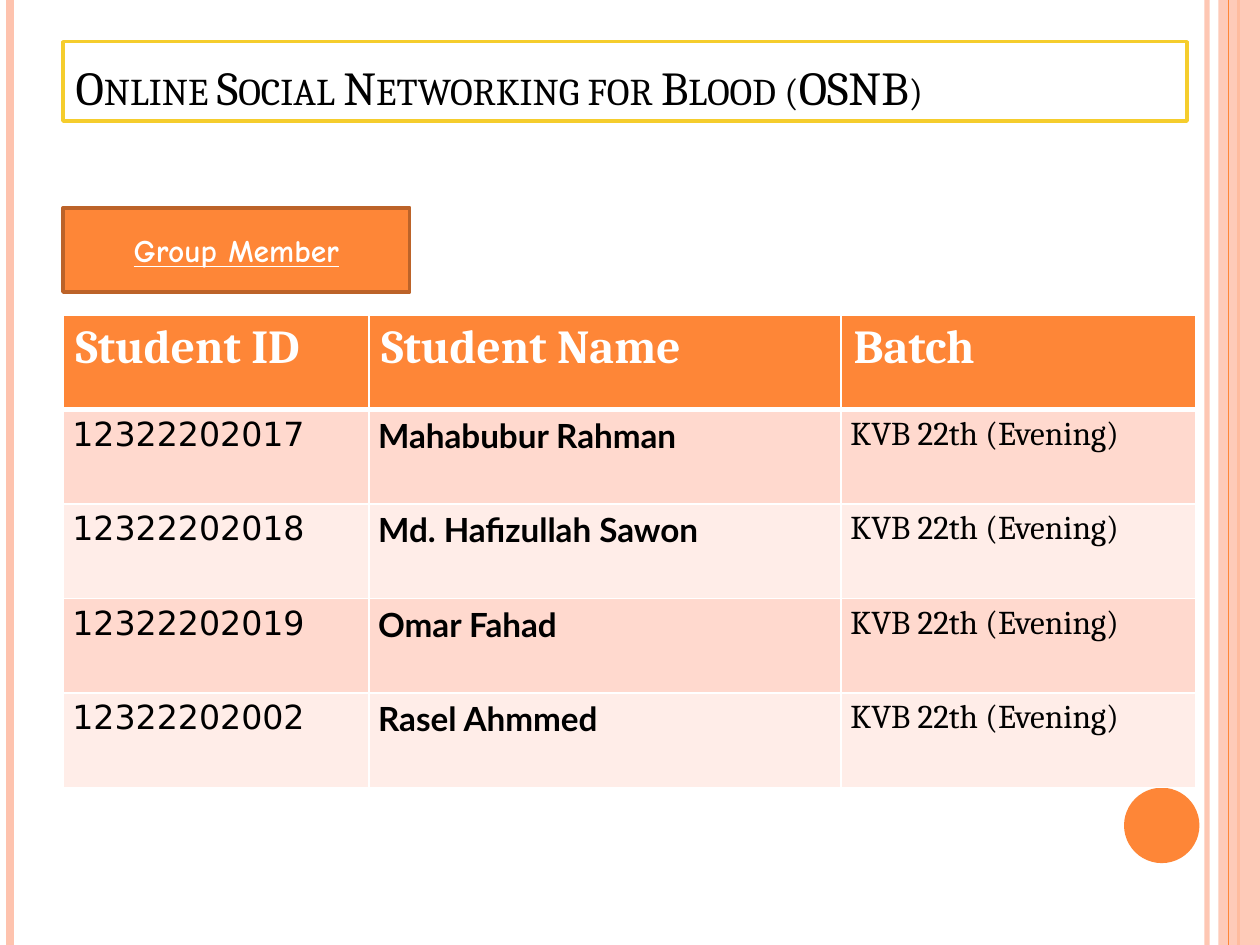
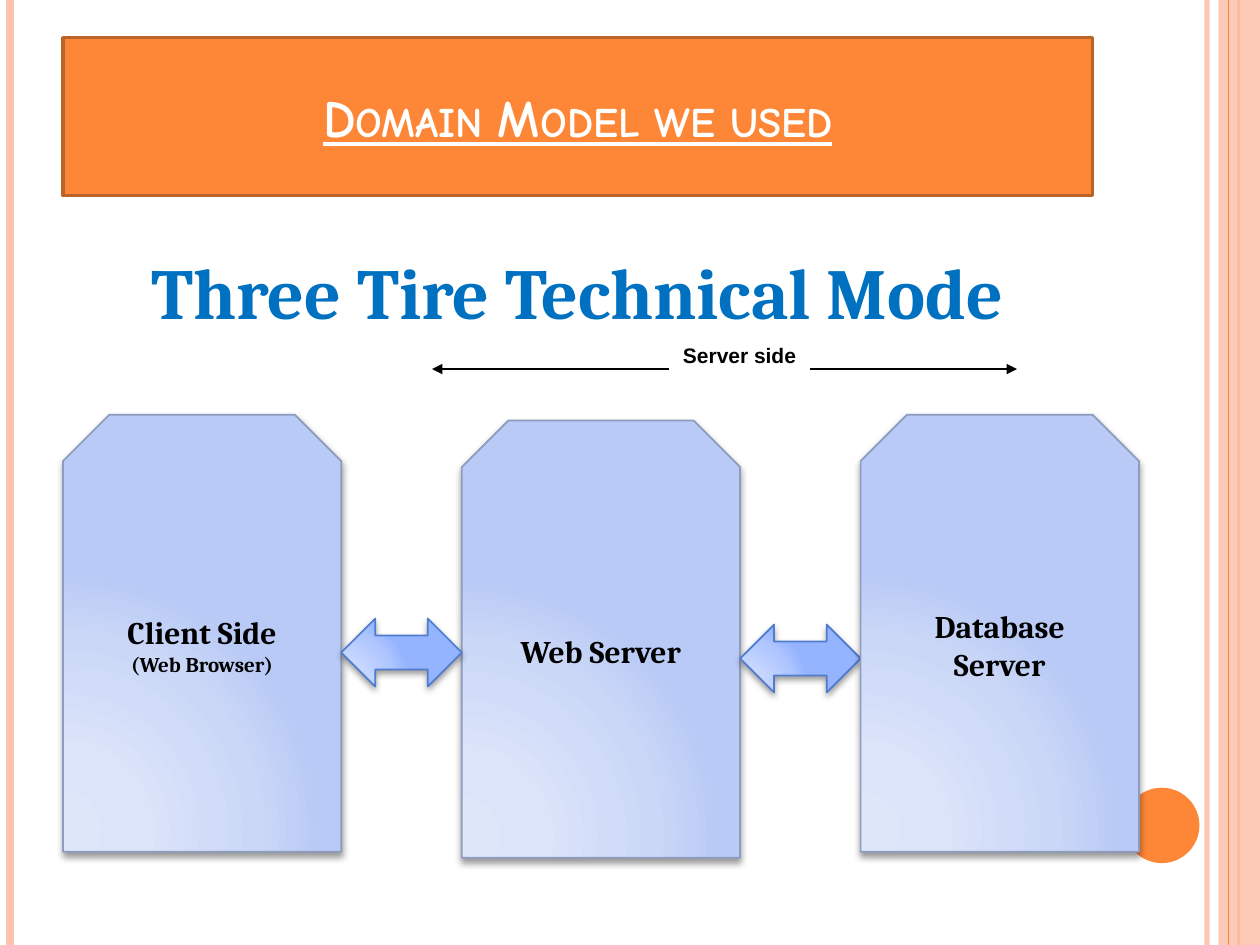
from lxml.etree import SubElement
from pptx import Presentation
from pptx.dml.color import RGBColor
from pptx.enum.shapes import MSO_CONNECTOR, MSO_SHAPE
from pptx.enum.text import MSO_ANCHOR, MSO_AUTO_SIZE, PP_ALIGN
from pptx.oxml import parse_xml
from pptx.oxml.ns import nsdecls, qn
from pptx.util import Cm, Pt

WIDTH, HEIGHT = 25.4, 19.05
ORANGE, RUST, PEACH, YELLOW = "FE8637", "BC6329", "FEC3AE", "F5CD2D"
WHITE, BLACK, BLUE = "FFFFFF", "000000", "0070C0"
ROW_FILLS = "FFD9CE", "FFEDE8"
TIER_GRADIENT = "DEE6FA", "DBE4F9", "CAD7F7", "B8CAF5"
ARROW_GRADIENT = "CFDCFF", "CBD9FF", "AFC6FF", "95B4FF"
SERIF, COMIC, DIGITS, NAMES, SANS = "Cambria", "Comic Neue", "DejaVu Sans", "Lato", "Arial"
STUDENTS = [
    ("12322202017", "Mahabubur Rahman"),
    ("12322202018", "Md. Hafizullah Sawon"),
    ("12322202019", "Omar Fahad"),
    ("12322202002", "Rasel Ahmmed"),
]


def paint(fill, color):
    """Fill something with a hex colour."""
    fill.solid()
    fill.fore_color.rgb = RGBColor.from_string(color)


def outline(shape, color, points):
    """Give a shape or connector a line."""
    paint(shape.line.fill, color)
    shape.line.width = Pt(points)


def fade(shape, percent):
    """Make the colour of a shape partly transparent."""
    for color in shape.element.xpath(".//a:srgbClr"):
        SubElement(color, qn("a:alpha")).set("val", str(percent * 1000))


def place(shape, box):
    """Move a shape to a box given in centimetres."""
    shape.left, shape.top, shape.width, shape.height = map(Cm, box)


def style(para, size, font, color, bold=False, underline=None, align=PP_ALIGN.CENTER):
    """Format a whole paragraph."""
    para.alignment = align
    para.font.size, para.font.name = Pt(size), font
    para.font.bold, para.font.underline = bold, underline
    paint(para.font.fill, color)


def add_shape(page, kind, box, fill=None):
    """Add a preset shape without shadow or line."""
    shape = page.shapes.add_shape(kind, *map(Cm, box))
    shape.shadow.inherit = False
    shape.line.fill.background()
    if fill:
        paint(shape.fill, fill)
    return shape


def add_line(page, start, end, color, points):
    """Add a straight line without shadow."""
    line = page.shapes.add_connector(MSO_CONNECTOR.STRAIGHT, *map(Cm, start + end))
    outline(line, color, points)
    SubElement(line.element.spPr, qn("a:effectLst"))
    return line


def decorate_master(deck, page):
    """Put the side stripes, band and dot on the slide master."""

    def stripe(x, color, points):
        return add_line(page, (x, 0), (x, HEIGHT), color, points)

    pale = stripe(24.33, PEACH, 3)
    fade(pale, 93)
    parts = [pale, stripe(0.21, PEACH, 4.5), stripe(24.97, ORANGE, 1.5)]
    band = add_shape(page, MSO_SHAPE.RECTANGLE, (24.56, 0, WIDTH - 24.56, HEIGHT), PEACH)
    fade(band, 87)
    parts += [band, stripe(24.77, ORANGE, 0.75)]
    parts.append(add_shape(page, MSO_SHAPE.OVAL, (22.66, 15.88, 1.52, 1.52), ORANGE))
    tree = deck.slide_master.element.cSld.spTree
    for index, part in enumerate(parts):
        part.element.xpath(".//p:cNvPr")[0].set("id", str(100 + index))
        tree.insert(2 + index, part.element)


def set_title(page, text, box, fill, border, anchor, **look):
    """Fill and format the title placeholder in small capitals."""
    title = page.shapes.title
    place(title, box)
    paint(title.fill, fill)
    outline(title, border, 2)
    frame = title.text_frame
    frame.text, frame.vertical_anchor = text, anchor
    frame.auto_size = MSO_AUTO_SIZE.NONE
    para = frame.paragraphs[0]
    style(para, **look)
    para._p.get_or_add_pPr().get_or_add_defRPr().set("cap", "small")


def add_button(page, text, box):
    """Add the orange label above the table."""
    button = add_shape(page, MSO_SHAPE.RECTANGLE, box, ORANGE)
    outline(button, RUST, 2)
    button.text_frame.text = text
    style(button.text_frame.paragraphs[0], 18, COMIC, WHITE, True, True)


def add_member_table(page, box):
    """Add the table of group members."""
    rows = [("Student ID", "Student Name", "Batch")]
    rows += [(*student, "KVB 22th (Evening)") for student in STUDENTS]
    table = page.shapes.add_table(len(rows), 3, *map(Cm, box)).table
    for column, share in zip(table.columns, (0.27, 0.417, 0.313)):
        column.width = Cm(box[2] * share)
    for row, texts in enumerate(rows):
        for column, text in enumerate(texts):
            cell = table.cell(row, column)
            cell.text = text
            para = cell.text_frame.paragraphs[0]
            if row == 0:
                paint(cell.fill, ORANGE)
                cell._tc.get_or_add_tcPr().insert(0, parse_xml(
                    f'<a:lnB {nsdecls("a")} w="38100"><a:solidFill>'
                    f'<a:srgbClr val="{WHITE}"/></a:solidFill></a:lnB>'))
                style(para, 27, SERIF, WHITE, True, align=PP_ALIGN.JUSTIFY)
                continue
            paint(cell.fill, ROW_FILLS[(row - 1) % 2])
            cell.margin_left = cell.margin_right = Cm(0.19)
            cell.margin_top = cell.margin_bottom = 0
            font = (DIGITS, NAMES, SERIF)[column]
            style(para, 19, font, BLACK, font == NAMES, align=PP_ALIGN.JUSTIFY)
            para.line_spacing = 1.15


def shade(shape, colors, border):
    """Give a shape a round gradient, a line and a soft shadow."""
    stops = "".join(
        f'<a:gs pos="{percent * 1000}"><a:srgbClr val="{color}"/></a:gs>'
        for percent, color in zip((0, 30, 75, 100), colors)
    )
    properties = shape.element.spPr
    properties.insert(2, parse_xml(
        f'<a:gradFill {nsdecls("a")} rotWithShape="1"><a:gsLst>{stops}</a:gsLst>'
        '<a:path path="circle"><a:fillToRect l="5000" t="100000" r="120000" b="10000"/>'
        '</a:path></a:gradFill>'))
    outline(shape, border, 1)
    shape.shadow.inherit = False
    properties.find(qn("a:effectLst")).append(parse_xml(
        f'<a:outerShdw {nsdecls("a")} blurRad="50800" dist="25400" dir="5400000" rotWithShape="0">'
        '<a:srgbClr val="000000"><a:alpha val="40000"/></a:srgbClr></a:outerShdw>'))


def shape_body(page, box):
    """Turn the body placeholder into a snipped tier."""
    body = page.placeholders[1]
    place(body, box)
    body.element.spPr.insert(1, parse_xml(
        f'<a:prstGeom {nsdecls("a")} prst="snip2SameRect"><a:avLst/></a:prstGeom>'))
    return body


def write_tier(tier, lines, space):
    """Write the centred lines of a tier."""
    frame = tier.text_frame
    frame.text = "\n".join(lines)
    frame.word_wrap, frame.auto_size = True, MSO_AUTO_SIZE.NONE
    frame.vertical_anchor = MSO_ANCHOR.MIDDLE
    for para, size in zip(frame.paragraphs, (18, 12)):
        style(para, size, SERIF, BLACK, True)
        para.space_before = Pt(space)
        settings = para._p.get_or_add_pPr()
        settings.set("marL", "0")
        settings.set("indent", "0")
        settings.insert_element_before(
            parse_xml(f'<a:buNone {nsdecls("a")}/>'), "a:tabLst", "a:defRPr", "a:extLst")


def add_tiers(page, box):
    """Add three tiers with double arrows in the gaps."""
    left, top, width, height = box
    tier_width = 5.61
    pitch = (width - tier_width) / 2
    tiers = [(["Client Side", "(Web Browser)"], 0), (["Web Server"], 6), (["Database Server"], 6)]
    for index, (lines, space) in enumerate(tiers):
        x = left + index * pitch
        tier_box = (x, top + index % 2 * 0.12, tier_width, height)
        if index == 1:
            tier = shape_body(page, tier_box)
        else:
            tier = add_shape(page, MSO_SHAPE.SNIP_2_SAME_RECTANGLE, tier_box)
        shade(tier, TIER_GRADIENT, "8D9CBF")
        write_tier(tier, lines, space)
        if index < 2:
            arrow_box = (x + tier_width, top + 4.11 + index * 0.12, pitch - tier_width, 1.37)
            arrow = add_shape(page, MSO_SHAPE.LEFT_RIGHT_ARROW, arrow_box)
            shade(arrow, ARROW_GRADIENT, "4F7CCF")


def add_server_span(page, box):
    """Add the double-headed line with its label."""
    left, top, width, height = box
    line = add_line(page, (left, top + 0.66), (left + width, top + 0.66), BLACK, 0.75)
    for end in ("a:headEnd", "a:tailEnd"):
        SubElement(line.line._get_or_add_ln(), qn(end)).set("type", "triangle")
    label = add_shape(page, MSO_SHAPE.RECTANGLE, (left + 4.78, top, 2.84, height), WHITE)
    label.text_frame.text = "Server side"
    label.text_frame.vertical_anchor = MSO_ANCHOR.TOP
    style(label.text_frame.paragraphs[0], 12, SANS, BLACK, True)


def add_heading(page, text, box):
    """Add the large blue heading."""
    frame = page.shapes.add_textbox(*map(Cm, box)).text_frame
    frame.word_wrap, frame.text = True, text
    style(frame.paragraphs[0], 41, SERIF, BLUE, True)


def build_members(page):
    """Build the slide with the group members."""
    set_title(page, "Online Social Networking for Blood (OSNB)", (1.27, 0.84, 22.66, 1.6),
              WHITE, YELLOW, MSO_ANCHOR.BOTTOM,
              size=27, font=SERIF, color=BLACK, align=PP_ALIGN.LEFT)
    add_button(page, "Group Member", (1.27, 4.19, 6.99, 1.7))
    add_member_table(page, (1.27, 6.35, 22.83, 9.53))


def build_domain_model(page):
    """Build the slide with the three tiers."""
    set_title(page, "Domain Model we used", (1.27, 0.76, 20.75, 3.18),
              ORANGE, RUST, MSO_ANCHOR.MIDDLE,
              size=30, font=COMIC, color=WHITE, bold=True, underline=True)
    add_server_span(page, (8.71, 6.78, 11.79, 1.55))
    add_tiers(page, (1.27, 8.36, 21.69, 8.81))
    add_heading(page, "Three Tire Technical Mode", (1.27, 4.88, 20.75, 2.01))


def main():
    """Build and save the deck."""
    deck = Presentation()
    deck.slide_width, deck.slide_height = Cm(WIDTH), Cm(HEIGHT)
    members = deck.slides.add_slide(deck.slide_layouts[5])
    decorate_master(deck, members)
    build_members(members)
    build_domain_model(deck.slides.add_slide(deck.slide_layouts[1]))
    deck.save("out.pptx")


if __name__ == "__main__":
    main()
